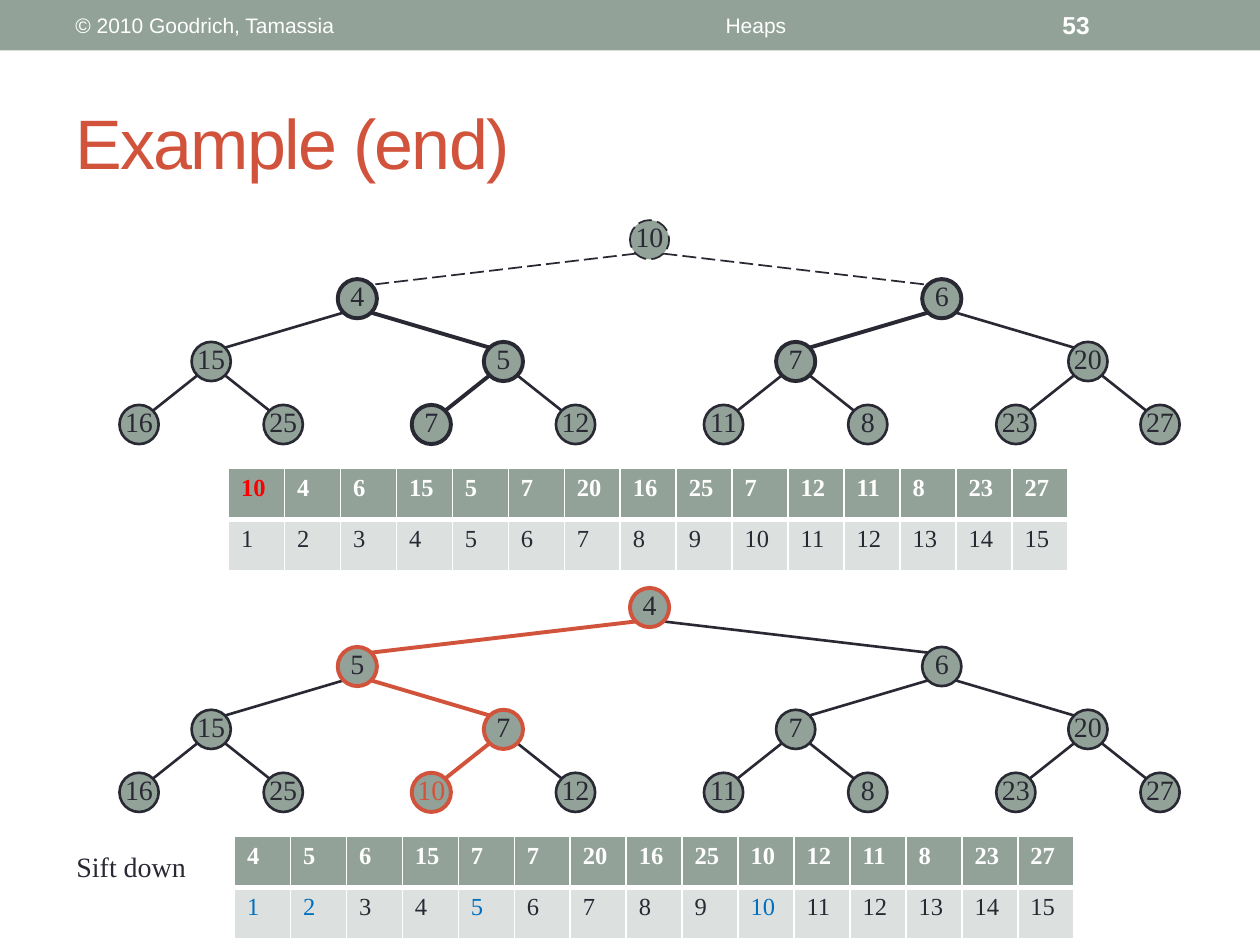
from lxml.etree import SubElement
from pptx import Presentation
from pptx.dml.color import RGBColor
from pptx.enum.dml import MSO_LINE
from pptx.enum.shapes import MSO_CONNECTOR, MSO_SHAPE
from pptx.enum.text import MSO_ANCHOR, MSO_AUTO_SIZE, PP_ALIGN
from pptx.oxml.ns import qn
from pptx.util import Pt

SAGE, PALE, INK, RUST = "93A299", "DCE0DE", "292934", "D2533C"
WHITE, RED, BLUE = "FFFFFF", "FF0000", "0070C0"
SERIF = "Times New Roman"


def rgb(hex_colour):
    return RGBColor.from_string(hex_colour)


def write(frame, text, size, colour, font=SERIF, bold=False,
          align=PP_ALIGN.LEFT, anchor=MSO_ANCHOR.MIDDLE, wrap=True):
    """Put one formatted run into a text frame and return the run."""
    frame.word_wrap = wrap
    frame.vertical_anchor = anchor
    paragraph = frame.paragraphs[0]
    paragraph.alignment = align
    run = paragraph.add_run()
    run.text = text
    run.font.size, run.font.name, run.font.bold = Pt(size), font, bold
    run.font.color.rgb = rgb(colour)
    return run


deck = Presentation()
deck.slide_width, deck.slide_height = Pt(720), Pt(540)
slide = deck.slides.add_slide(deck.slide_layouts[5])
shapes = slide.shapes

# Header band
band = shapes.add_shape(MSO_SHAPE.RECTANGLE, 0, 0, Pt(720), Pt(28.8))
band.shadow.inherit = False
band.fill.solid()
band.fill.fore_color.rgb = rgb(SAGE)
band.line.fill.background()
for text, left, width, size, bold, align in [
    ("© 2010 Goodrich, Tamassia", 36, 228, 12, False, PP_ALIGN.LEFT),
    ("Heaps", 270, 324, 12, False, PP_ALIGN.CENTER),
    ("53", 600, 84, 14, True, PP_ALIGN.LEFT),
]:
    header = shapes.add_textbox(Pt(left), Pt(1.4), Pt(width), Pt(26))
    write(header.text_frame, text, size, WHITE, "Arial", bold, align)

title = shapes.title
title.left, title.top, title.width, title.height = Pt(36), Pt(42), Pt(648), Pt(78)
title.text_frame.auto_size = MSO_AUTO_SIZE.NONE
heading = write(title.text_frame, "Example (end)", 40, RUST, "Arial")
heading.font._element.set("spc", "-100")

# Node n of a heap has the children 2n and 2n + 1
DIAMETER = 22.4
CORNER = DIAMETER / 2 * 0.71
LEVEL_TOPS = [0, 33.7, 69.6, 105.6]
CHILD_OFFSETS = [167, 83.5, 41.2]
centre_x = {1: 371.2}
for node in range(2, 16):
    offset = CHILD_OFFSETS[node.bit_length() - 2]
    centre_x[node] = centre_x[node // 2] + (offset if node % 2 else -offset)

heaps = [
    dict(top=125.8, table_left=130.6, table_top=267.8,
         keys=[10, 4, 6, 15, 5, 7, 20, 16, 25, 7, 12, 11, 8, 23, 27],
         path_colour=INK, path_nodes={2, 3, 5, 6, 10}, path_edges={5, 6, 10},
         dashed_nodes={1}, dashed_edges={2, 3},
         key_colours={}, header_colours={1: RED}, index_colours={}),
    dict(top=336, table_left=134, table_top=477.8,
         keys=[4, 5, 6, 15, 7, 7, 20, 16, 25, 10, 12, 11, 8, 23, 27],
         path_colour=RUST, path_nodes={1, 2, 5, 10}, path_edges={2, 5, 10},
         dashed_nodes=set(), dashed_edges=set(),
         key_colours={10: RUST}, header_colours={},
         index_colours=dict.fromkeys([1, 2, 5, 10], BLUE)),
]

for heap in heaps:
    centre_y = {node: heap["top"] + LEVEL_TOPS[node.bit_length() - 1] + DIAMETER / 2
                for node in centre_x}
    outlines = []

    for child in range(2, 16):
        parent = child // 2
        side = CORNER if child % 2 else -CORNER
        edge = shapes.add_connector(
            MSO_CONNECTOR.STRAIGHT,
            Pt(centre_x[parent] + side), Pt(centre_y[parent] + CORNER),
            Pt(centre_x[child] - side), Pt(centre_y[child] - CORNER))
        SubElement(edge._element.spPr, qn("a:effectLst"))
        outlines.append((edge.line, child in heap["path_edges"],
                         child in heap["dashed_edges"]))

    for node, key in enumerate(heap["keys"], 1):
        circle = shapes.add_shape(
            MSO_SHAPE.OVAL, Pt(centre_x[node] - DIAMETER / 2),
            Pt(centre_y[node] - DIAMETER / 2), Pt(DIAMETER), Pt(DIAMETER))
        circle.shadow.inherit = False
        circle.fill.solid()
        circle.fill.fore_color.rgb = rgb(SAGE)
        frame = circle.text_frame
        frame.margin_left = frame.margin_right = frame.margin_top = 0
        frame.margin_bottom = Pt(3.6)
        write(frame, str(key), 16, heap["key_colours"].get(node, INK),
              align=PP_ALIGN.CENTER, wrap=False)
        outlines.append((circle.line, node in heap["path_nodes"],
                         node in heap["dashed_nodes"]))

    for outline, on_path, dashed in outlines:
        outline.color.rgb = rgb(heap["path_colour"] if on_path else INK)
        outline.width = Pt(2.25 if on_path else 1 if dashed else 1.5)
        if dashed:
            outline.dash_style = MSO_LINE.LONG_DASH

    # Array form: keys above their positions
    array = shapes.add_table(2, 15, Pt(heap["table_left"]), Pt(heap["table_top"]),
                             Pt(480), Pt(58.4)).table
    for column in array.columns:
        column.width = Pt(32)
    for position, key in enumerate(heap["keys"], 1):
        for row, text, colour, fill in [
            (0, key, heap["header_colours"].get(position, WHITE), SAGE),
            (1, position, heap["index_colours"].get(position, INK), PALE),
        ]:
            cell = array.cell(row, position - 1)
            write(cell.text_frame, str(text), 14, colour, bold=row == 0,
                  anchor=MSO_ANCHOR.TOP)
            thick_side = "a:lnT" if row else "a:lnB"
            for border_side in ("a:lnL", "a:lnR", "a:lnT", "a:lnB"):
                border = SubElement(cell._tc.get_or_add_tcPr(), qn(border_side),
                                    w=str(Pt(3 if border_side == thick_side else 1)))
                SubElement(SubElement(border, qn("a:solidFill")),
                           qn("a:srgbClr"), val=WHITE)
            cell.fill.solid()
            cell.fill.fore_color.rgb = rgb(fill)

step_label = shapes.add_textbox(Pt(36.6), Pt(481.8), Pt(77.8), Pt(26.6))
write(step_label.text_frame, "Sift down", 16, INK, anchor=MSO_ANCHOR.TOP, wrap=False)

deck.save("out.pptx")
